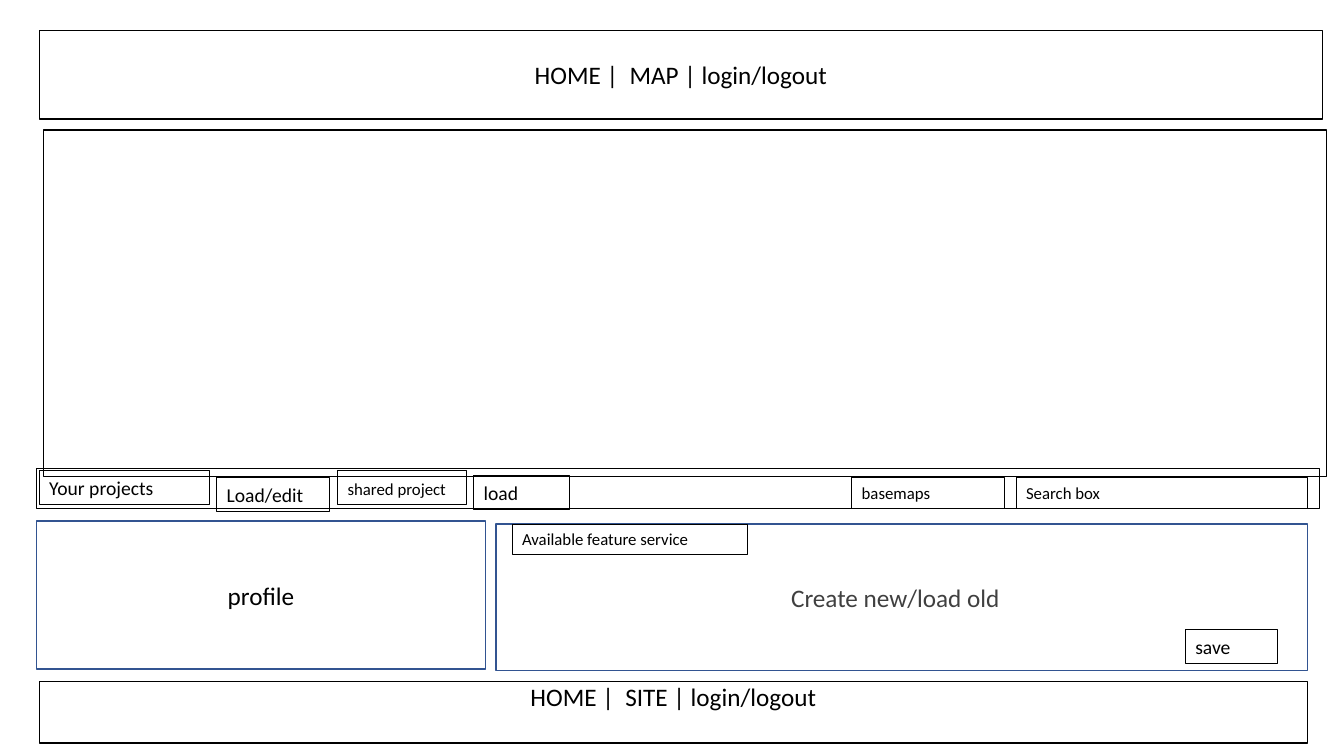
from pptx import Presentation
from pptx.util import Pt
from pptx.dml.color import RGBColor
from pptx.enum import shapes, text

COLORS = {"black": "000000", "blue": "325491", "gray": "404040"}
FONT = "Calibri"
INSET_X, INSET_Y = 7.2, 3.6
TALL, SHORT = 24.2, 21.8  # label heights

# Empty frames: left, top, width, height
FRAMES = [
    (31, 92.9, 916.6, 247.7),   # map area
    (25.9, 334.8, 916.6, 28.8),  # toolbar
]

# Panels: wording, box, line colour, text colour, anchor, top inset, right inset
MIDDLE, TOP = text.MSO_ANCHOR.MIDDLE, text.MSO_ANCHOR.TOP
PANELS = [
    ("HOME |  SITE | login/logout", (28.1, 486.7, 905.8, 43.9), "black", "black", TOP, 0, INSET_X),
    ("HOME |  MAP | login/logout", (28.1, 21.6, 916.6, 63.4), "black", "black", MIDDLE, INSET_Y, INSET_X),
    ("profile", (25.9, 372.2, 321.1, 105.8), "blue", "black", MIDDLE, INSET_Y, INSET_X),
    ("Create new/load old", (354.2, 374.4, 579.6, 104.4), "blue", "gray", MIDDLE, INSET_Y, 16),
]

# Labels: wording, box, font size, top inset
LABELS = [
    ("Your projects", (28.1, 336.2, 121.7, TALL), 14, INSET_Y),
    ("Load/edit", (154.8, 341.3, 80.6, TALL), 14, INSET_Y),
    ("shared project", (241.2, 336.2, 92.2, TALL), 12, 5.6),
    ("load", (338.4, 339.8, 68.4, TALL), 14, INSET_Y),
    ("basemaps", (608.4, 341.3, 109.4, SHORT), 12, INSET_Y),
    ("Search box", (725.8, 341.3, 208.1, SHORT), 12, INSET_Y),
    ("Available feature service", (365.8, 374.4, 168.5, SHORT), 12, INSET_Y),
    ("save", (846.7, 450, 65.5, TALL), 14, INSET_Y),
]

presentation = Presentation()
presentation.slide_width, presentation.slide_height = Pt(960), Pt(540)
slide = presentation.slides.add_slide(presentation.slide_layouts[6])


def add_box(box, line_color="black", line_width=0.75):
    outline = slide.shapes.add_shape(shapes.MSO_SHAPE.RECTANGLE, *map(Pt, box))
    outline.shadow.inherit = False
    outline.fill.background()
    outline.line.color.rgb = RGBColor.from_string(COLORS[line_color])
    outline.line.width = Pt(line_width)
    return outline


def write(outline, wording, size, color, align, anchor, top, right=INSET_X):
    frame = outline.text_frame
    frame.word_wrap = True
    frame.vertical_anchor = anchor
    frame.margin_left, frame.margin_right = Pt(INSET_X), Pt(right)
    frame.margin_top, frame.margin_bottom = Pt(top), Pt(INSET_Y)
    paragraph = frame.paragraphs[0]
    paragraph.text = wording
    paragraph.alignment = align
    paragraph.font.name = FONT
    paragraph.font.size = Pt(size)
    paragraph.font.color.rgb = RGBColor.from_string(COLORS[color])


# Map area and toolbar
for frame_box in FRAMES:
    add_box(frame_box)

# Header, footer and work panels
for wording, box, line_color, color, anchor, top, right in PANELS:
    write(add_box(box, line_color, 1), wording, 18, color,
          text.PP_ALIGN.CENTER, anchor, top, right)

# Buttons and fields
for wording, box, size, top in LABELS:
    write(add_box(box), wording, size, "black", text.PP_ALIGN.LEFT, TOP, top)

presentation.save("out.pptx")
